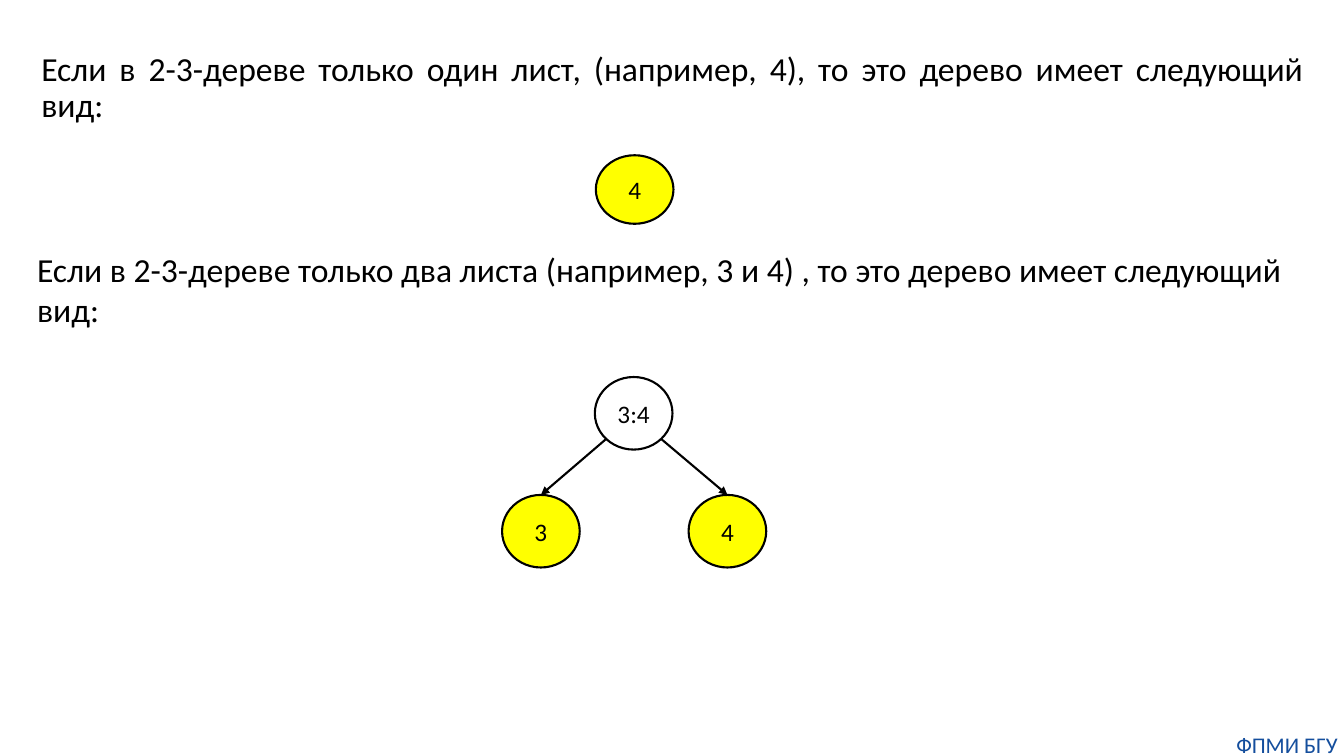
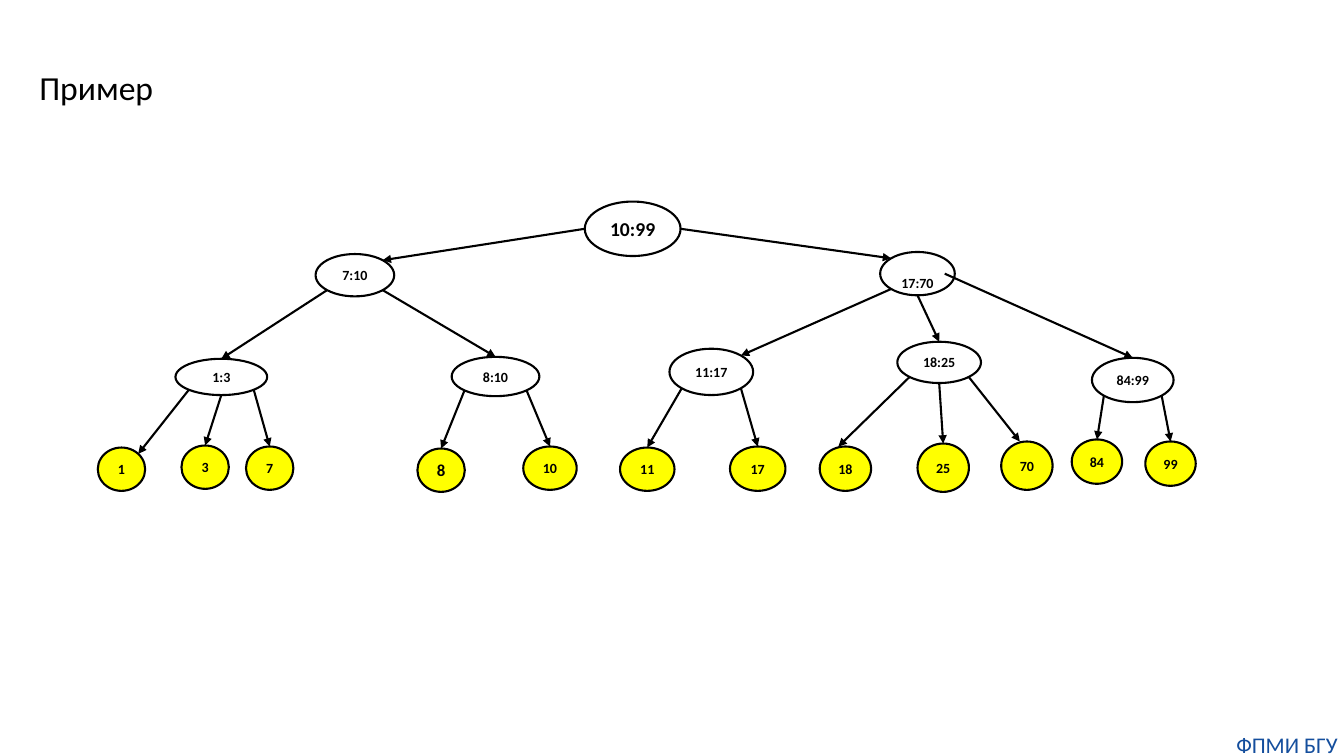
from math import sqrt

from lxml import etree
from pptx import Presentation
from pptx import util as u
from pptx.dml.color import RGBColor
from pptx.enum import shapes, text
from pptx.oxml.ns import qn

PX = 9144  # 100 px to the inch
FONT = "Calibri"
BLACK, YELLOW, BLUE = "000000", "FFFF00", "144E9D"

# Connection sites of an ellipse, in half-widths and half-heights from its centre
D = sqrt(0.5)
SITES = {"t": (0, -1), "b": (0, 1), "l": (-1, 0), "r": (1, 0),
         "tl": (-D, -D), "tr": (D, -D), "bl": (-D, D), "br": (D, D)}

# label: (x, y, w, h, font size)
SMALL_TREE = {
    "3:4": (92, 0, 77, 72, 18),
    "3": (0, 117, 77, 72, 18),
    "4": (185, 117, 77, 72, 18),
}
# parent, site, child, site, optional x shifts of both ends
SMALL_EDGES = [("3:4", "bl", "3", "t"), ("3:4", "br", "4", "t")]

BIG_TREE = {
    "10:99": (483, 0, 95, 54, 14),
    "7:10": (216, 52, 78, 42, 10),
    "17:70": (776, 50, 74, 43, 10),
    "1:3": (77, 156, 91, 36, 10),
    "8:10": (351, 154, 87, 39, 10),
    "11:17": (567, 146, 83, 46, 10),
    "18:25": (793, 139, 83, 41, 10),
    "84:99": (986, 155, 81, 44, 10),
    "1": (0, 244, 47, 43, 10),
    "3": (83, 242, 47, 43, 10),
    "7": (147, 243, 47, 43, 10),
    "8": (317, 245, 47, 43, 12),
    "10": (422, 243, 53, 43, 10),
    "11": (518, 244, 54, 43, 10),
    "17": (627, 243, 55, 44, 10),
    "18": (716, 243, 51, 44, 10),
    "25": (813, 240, 51, 48, 10),
    "70": (896, 238, 51, 48, 10),
    "84": (966, 236, 50, 44, 10),
    "99": (1039, 238, 50, 44, 10),
}
BIG_EDGES = [
    ("10:99", "l", "7:10", "tr"), ("10:99", "r", "17:70", "tl"),
    ("7:10", "bl", "1:3", "t"), ("7:10", "br", "8:10", "t"),
    ("17:70", "bl", "11:17", "tr"), ("17:70", "b", "18:25", "t"),
    ("17:70", "r", "84:99", "t", -10, 0),
    ("1:3", "bl", "1", "tr"), ("1:3", "b", "3", "t"), ("1:3", "br", "7", "t"),
    ("8:10", "bl", "8", "t"), ("8:10", "br", "10", "t"),
    ("11:17", "bl", "11", "t"), ("11:17", "br", "17", "t"),
    ("18:25", "bl", "18", "t", 0, -7), ("18:25", "b", "25", "t"),
    ("18:25", "br", "70", "t", 0, -7),
    ("84:99", "bl", "84", "t"), ("84:99", "br", "99", "t"),
]


def rgb(color):
    return RGBColor.from_string(color)


def emu(*lengths):
    return [u.Emu(round(v * PX)) for v in lengths]


def place(sp, box):
    sp.left, sp.top, sp.width, sp.height = emu(*box)


def write(sp, words, size, color=BLACK, align=text.PP_ALIGN.LEFT, bold=False):
    sp.text_frame.text = words
    p = sp.text_frame.paragraphs[0]
    p.alignment = align
    f = p.runs[0].font
    f.name, f.size, f.bold = FONT, u.Pt(size), bold
    f.color.rgb = rgb(color)
    return p


def add_statement(sp, box, words):
    """Format a title or body placeholder as a plain justified statement."""
    place(sp, box)
    p = write(sp, words, 24, align=text.PP_ALIGN.JUSTIFY)
    p.line_spacing, p.space_before = 0.9, u.Pt(10)
    pPr = p._p.get_or_add_pPr()
    pPr.set("marL", "0")
    pPr.set("indent", "0")
    etree.SubElement(pPr, qn("a:buNone"))
    tf = sp.text_frame
    tf.vertical_anchor = text.MSO_ANCHOR.TOP
    tf.auto_size = text.MSO_AUTO_SIZE.NONE


def add_text(s, box, words, size, color=BLACK, align=text.PP_ALIGN.LEFT, inset=True):
    sp = s.shapes.add_textbox(*emu(*box))
    tf = sp.text_frame
    tf.word_wrap = True
    if not inset:
        tf.margin_left = tf.margin_right = tf.margin_top = tf.margin_bottom = 0
    write(sp, words, size, color, align)


def add_footer(s):
    add_text(s, (1220, 725, 113, 27), "ФПМИ БГУ", 16, BLUE, text.PP_ALIGN.CENTER, inset=False)


def add_node(s, box, label, size, bold=False):
    """Draw an ellipse: yellow for a leaf, hollow for an inner node (a:b)."""
    sp = s.shapes.add_shape(shapes.MSO_SHAPE.OVAL, *emu(*box))
    sp.shadow.inherit = False
    if ":" in label:
        sp.fill.background()
    else:
        sp.fill.solid()
        sp.fill.fore_color.rgb = rgb(YELLOW)
    sp.line.color.rgb = rgb(BLACK)
    sp.line.width = u.Pt(1.5)
    tf = sp.text_frame
    tf.margin_left = tf.margin_right = tf.margin_top = tf.margin_bottom = 0
    tf.vertical_anchor = text.MSO_ANCHOR.MIDDLE
    tf.word_wrap = False
    write(sp, label, size, align=text.PP_ALIGN.CENTER, bold=bold)
    return sp


def add_arrow(s, start, end):
    c = s.shapes.add_connector(shapes.MSO_CONNECTOR.STRAIGHT, *emu(*start, *end))
    c.line.color.rgb = rgb(BLACK)
    c.line.width = u.Pt(1.5)
    etree.SubElement(c.line._get_or_add_ln(), qn("a:tailEnd"), type="triangle")
    etree.SubElement(c._element.spPr, qn("a:effectLst"))


def site_point(box, site, shift=0):
    x, y, w, h = box
    dx, dy = SITES[site]
    return x + w / 2 * (1 + dx) + shift, y + h / 2 * (1 + dy)


def add_tree(s, left, top, nodes, edges, bold=False):
    """Draw a tree with its origin at left, top; return the nodes by label."""
    boxes, ovals = {}, {}
    for label, (x, y, w, h, size) in nodes.items():
        boxes[label] = (left + x, top + y, w, h)
        ovals[label] = add_node(s, boxes[label], label, size, bold)
    for parent, out, child, into, *shifts in edges:
        shift_out, shift_in = shifts or (0, 0)
        add_arrow(s, site_point(boxes[parent], out, shift_out),
                  site_point(boxes[child], into, shift_in))
    return ovals


def small_trees_slide(prs):
    s = prs.slides.add_slide(prs.slide_layouts[1])
    title = s.shapes.title._element
    title.getparent().remove(title)
    add_statement(s.placeholders[1], (31, 47, 1272, 88),
                  "Если в 2-3-дереве только один лист, (например, 4), "
                  "то это дерево имеет следующий вид:")
    add_node(s, (591, 154, 77, 68), "4", 18)
    add_text(s, (27, 242, 1280, 91),
             "Если в 2-3-дереве только два листа (например, 3 и 4) , "
             "то это дерево имеет следующий вид:", 24)
    add_tree(s, 498, 374, SMALL_TREE, SMALL_EDGES)
    add_footer(s)


def example_slide(prs):
    s = prs.slides.add_slide(prs.slide_layouts[5])
    add_statement(s.shapes.title, (29, 66, 1275, 42), "Пример")
    ovals = add_tree(s, 97, 200, BIG_TREE, BIG_EDGES, bold=True)
    ovals["17:70"].text_frame.margin_top = emu(18)[0]
    add_footer(s)


def main():
    prs = Presentation()
    prs.slide_width, prs.slide_height = u.Inches(13.33), u.Inches(7.5)
    small_trees_slide(prs)
    example_slide(prs)
    prs.save("out.pptx")


if __name__ == "__main__":
    main()
